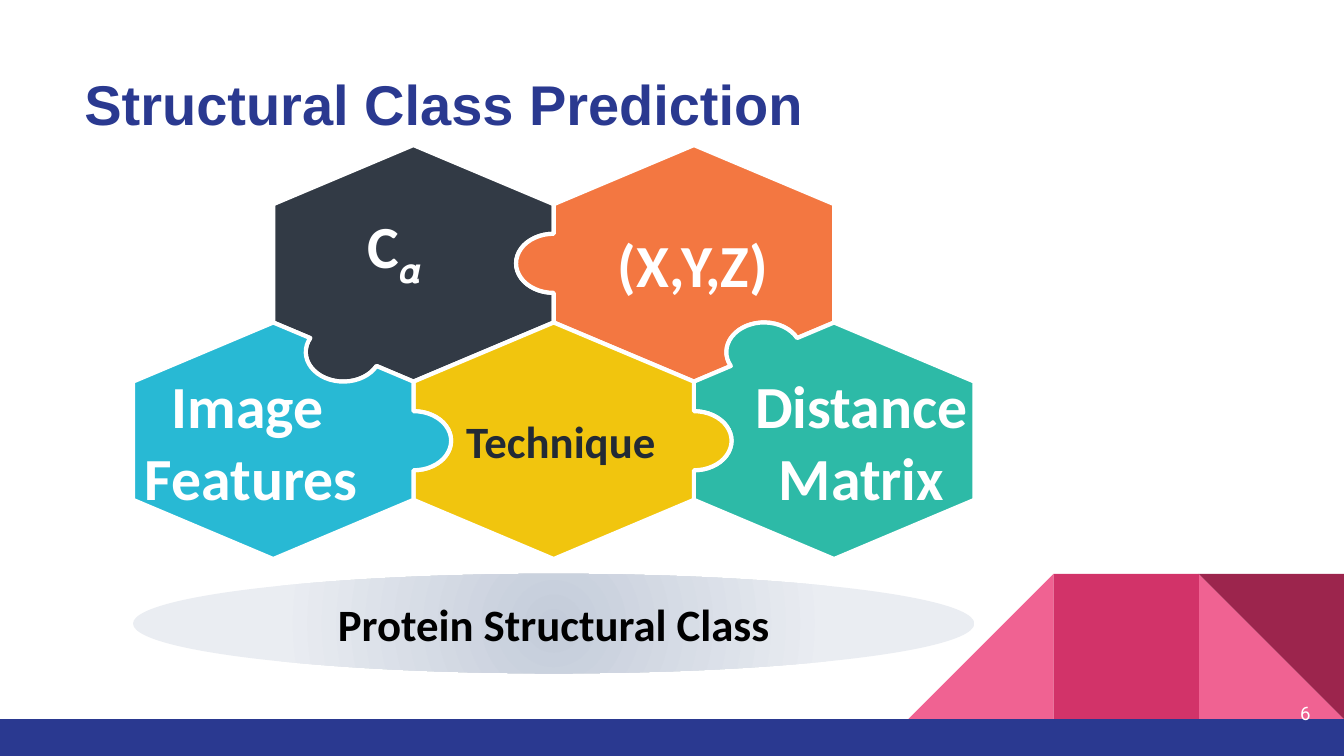
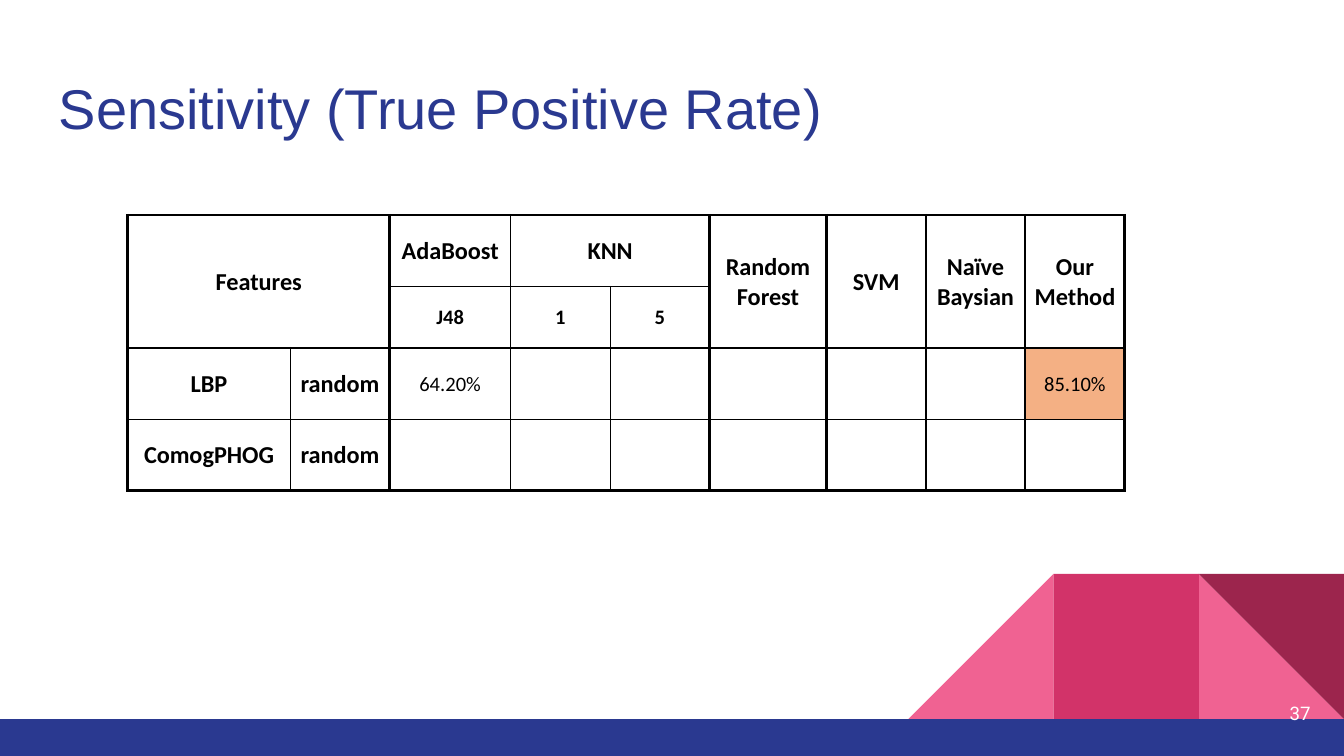
from copy import deepcopy
from dataclasses import dataclass
from math import atan2, cos, pi, sin

from lxml.etree import SubElement
from pptx import Presentation
from pptx.dml.color import RGBColor
from pptx.enum.shapes import MSO_SHAPE
from pptx.enum.text import MSO_ANCHOR, PP_ALIGN
from pptx.oxml import parse_xml
from pptx.oxml.ns import nsdecls, qn
from pptx.shapes.autoshape import Shape
from pptx.slide import Slide
from pptx.table import Table
from pptx.text.text import TextFrame
from pptx.util import Inches, Pt

WHITE = RGBColor(0xFF, 0xFF, 0xFF)
BLACK = RGBColor(0x00, 0x00, 0x00)
INDIGO = RGBColor(0x2A, 0x39, 0x90)
PINK = RGBColor(0xF0, 0x62, 0x92)
RASPBERRY = RGBColor(0xD2, 0x33, 0x69)
WINE = RGBColor(0x9C, 0x25, 0x4D)
SLATE = RGBColor(0x32, 0x3A, 0x45)
ORANGE = RGBColor(0xF3, 0x77, 0x41)
TEAL = RGBColor(0x2D, 0xBA, 0xA7)
YELLOW = RGBColor(0xF1, 0xC5, 0x0E)
SKY = RGBColor(0x28, 0xB9, 0xD4)
INK = RGBColor(0x22, 0x2A, 0x35)
PEACH = RGBColor(0xF4, 0xB0, 0x84)
SHADOW_CENTRE = RGBColor(0xC4, 0xCC, 0xDA)
SHADOW_EDGE = RGBColor(0xEA, 0xED, 0xF2)

Box = tuple[float, float, float, float]

# Puzzle grid: hexagon corners lie on equal columns and on steps of QUARTER.
PUZZLE_LEFT, PUZZLE_TOP, PUZZLE_WIDTH = 0.99, 1.08, 6.26
HALF_WIDTH = PUZZLE_WIDTH / 6
QUARTER = 0.44
ROW_STEP = 3 * QUARTER
KNOB_X, KNOB_Y, KNOB_STEPS = 0.28, 0.22, 24
OUTWARD, INWARD = 1, -1


@dataclass(frozen=True)
class PuzzlePiece:
    column: int
    row: int
    colour: RGBColor
    knobs: dict[int, int]  # side, clockwise from upper right -> direction


@dataclass(frozen=True)
class PieceLabel:
    text: str
    box: Box
    size: int = 32
    colour: RGBColor = WHITE
    align: PP_ALIGN = PP_ALIGN.CENTER
    indent: float = 0
    subscript: str = ""
    bottom: float = 0.05


@dataclass(frozen=True)
class TableEntry:
    row: int
    column: int
    text: str
    size: int = 13
    bold: bool = True
    rows: int = 1
    columns: int = 1
    fill: RGBColor | None = None


PIECES = [
    PuzzlePiece(2, 0, SLATE, {1: INWARD, 3: OUTWARD}),
    PuzzlePiece(4, 0, ORANGE, {2: INWARD, 4: OUTWARD}),
    PuzzlePiece(5, 1, TEAL, {4: INWARD, 5: OUTWARD}),
    PuzzlePiece(3, 1, YELLOW, {1: OUTWARD, 4: INWARD}),
    PuzzlePiece(1, 1, SKY, {0: INWARD, 1: OUTWARD}),
]

LABELS = [
    PieceLabel("C", (2.02, 1.59, 1.82, 0.74), subscript="𝜶", bottom=0.25),
    PieceLabel("(X,Y,Z)", (4.11, 1.59, 2.09, 0.74)),
    PieceLabel("Distance Matrix", (5.45, 2.91, 1.92, 0.74)),
    PieceLabel("Technique", (3.37, 2.91, 1.8, 0.74), 24, INK, PP_ALIGN.LEFT),
    PieceLabel("Image Features", (0.98, 2.91, 2.09, 0.74),
               align=PP_ALIGN.LEFT, indent=0.2),
]

COLUMN_WIDTHS = [1.21, 0.74, 0.9, 0.74, 0.74, 0.87, 0.74, 0.74, 0.74]
ROW_HEIGHTS = [0.53, 0.46, 0.53, 0.53]
THIN_COLUMN_LINES = {1, 3, 4}
THIN_ROW_LINES = {1, 3}
ENTRIES = [
    TableEntry(0, 0, "Features", rows=2, columns=2),
    TableEntry(0, 2, "AdaBoost"),
    TableEntry(0, 3, "KNN", columns=2),
    TableEntry(0, 5, "Random\nForest", rows=2),
    TableEntry(0, 6, "SVM", rows=2),
    TableEntry(0, 7, "Naïve\nBaysian", rows=2),
    TableEntry(0, 8, "Our\nMethod", rows=2),
    TableEntry(1, 2, "J48", 11),
    TableEntry(1, 3, "1", 11),
    TableEntry(1, 4, "5", 11),
    TableEntry(2, 0, "LBP"),
    TableEntry(2, 1, "random"),
    TableEntry(2, 2, "64.20%", 11, False),
    TableEntry(2, 8, "85.10%", 11, False, fill=PEACH),
    TableEntry(3, 0, "ComogPHOG"),
    TableEntry(3, 1, "random"),
]


def write_text(frame: TextFrame, text: str, *, size: int, colour: RGBColor,
               font: str = "Calibri", bold: bool = False,
               align: PP_ALIGN = PP_ALIGN.LEFT, indent: float = 0,
               subscript: str = "") -> None:
    """Write one paragraph; a newline in the text becomes a line break."""
    frame.word_wrap = True
    paragraph = frame.paragraphs[0]
    paragraph.alignment = align
    if indent:
        paragraph._p.get_or_add_pPr().set("indent", str(Inches(indent)))
    parts = text.split("\n") + ([subscript] if subscript else [])
    for index, part in enumerate(parts):
        if index and not subscript:
            paragraph.add_line_break()
            paragraph._p[-1].append(deepcopy(run.font._element))
        run = paragraph.add_run()
        run.text = part
        run.font.size = Pt(size)
        run.font.name = font
        run.font.bold = bold
        run.font.color.rgb = colour
    if subscript:
        run.font._element.set("baseline", "-25000")


def add_text_box(slide: Slide, box: Box, *, margins: Box,
                 anchor: MSO_ANCHOR = MSO_ANCHOR.MIDDLE) -> TextFrame:
    """Margins run left, top, right, bottom."""
    frame = slide.shapes.add_textbox(*map(Inches, box)).text_frame
    (frame.margin_left, frame.margin_top,
     frame.margin_right, frame.margin_bottom) = map(Inches, margins)
    frame.vertical_anchor = anchor
    return frame


def add_filled_shape(slide: Slide, kind: MSO_SHAPE, box: Box,
                     colour: RGBColor) -> Shape:
    shape = slide.shapes.add_shape(kind, *map(Inches, box))
    shape.shadow.inherit = False
    shape.fill.solid()
    shape.fill.fore_color.rgb = colour
    shape.line.fill.background()
    return shape


def add_base(presentation: Presentation, title: str, number: str, *,
             left: float, top: float, bold: bool = False) -> Slide:
    """Add a slide with the corner ornament, footer band, title and number."""
    slide = presentation.slides.add_slide(presentation.slide_layouts[6])
    side, ornament_top = 1.08, 4.27
    middle, right = 10 - 2 * side, 10 - side
    triangle, rectangle = MSO_SHAPE.RIGHT_TRIANGLE, MSO_SHAPE.RECTANGLE
    add_filled_shape(slide, triangle, (right, ornament_top, side, side), PINK)
    mirrored = add_filled_shape(
        slide, triangle, (middle - side, ornament_top, side, side), PINK)
    mirrored._element.spPr.xfrm.set("flipH", "1")
    add_filled_shape(slide, rectangle, (middle, ornament_top, side, side), RASPBERRY)
    corner = add_filled_shape(slide, triangle, (right, ornament_top, side, side), WINE)
    corner.rotation = 180
    add_filled_shape(slide, rectangle, (0, 5.35, 10, 0.28), INDIGO)

    margins = (0.1,) * 4
    write_text(add_text_box(slide, (left, top, 9.32, 0.66), margins=margins,
                            anchor=MSO_ANCHOR.TOP),
               title, size=30, colour=INDIGO, font="Arial", bold=bold)
    write_text(add_text_box(slide, (9.25, 5.09, 0.6, 0.43), margins=margins),
               number, size=10, colour=WHITE, font="Roboto", align=PP_ALIGN.RIGHT)
    return slide


def piece_outline(piece: PuzzlePiece) -> list[tuple[float, float]]:
    """Hexagon clockwise from the top, with a half ellipse at each knob."""
    x = PUZZLE_LEFT + piece.column * HALF_WIDTH
    y = PUZZLE_TOP + piece.row * ROW_STEP
    corners = [(x + across * HALF_WIDTH, y + down * QUARTER) for across, down in
               ((0, 0), (1, 1), (1, 3), (0, 4), (-1, 3), (-1, 1))]
    points = []
    for side, (x1, y1) in enumerate(corners):
        points.append((x1, y1))
        if side not in piece.knobs:
            continue
        x2, y2 = corners[(side + 1) % 6]
        start = atan2((y2 - y1) / KNOB_Y, (x2 - x1) / KNOB_X) + pi
        for step in range(KNOB_STEPS + 1):
            angle = start + piece.knobs[side] * pi * step / KNOB_STEPS
            points.append(((x1 + x2) / 2 + KNOB_X * cos(angle),
                           (y1 + y2) / 2 + KNOB_Y * sin(angle)))
    return points


def add_piece(slide: Slide, piece: PuzzlePiece) -> None:
    points = [(Inches(x), Inches(y)) for x, y in piece_outline(piece)]
    builder = slide.shapes.build_freeform(*points[0])
    builder.add_line_segments(points[1:], close=True)
    shape = builder.convert_to_shape()
    shape.shadow.inherit = False
    shape.fill.solid()
    shape.fill.fore_color.rgb = piece.colour
    shape.line.color.rgb = WHITE
    shape.line.width = Pt(2.25)


def set_radial_fill(shape: Shape, centre: RGBColor, edge: RGBColor) -> None:
    stops = "".join(f'<a:gs pos="{position}"><a:srgbClr val="{colour}"/></a:gs>'
                    for position, colour in ((0, centre), (65000, edge), (100000, edge)))
    gradient = parse_xml(
        f'<a:gradFill {nsdecls("a")}><a:gsLst>{stops}</a:gsLst><a:path path="circle">'
        '<a:fillToRect l="50000" t="50000" r="50000" b="50000"/></a:path></a:gradFill>')
    properties = shape._element.spPr
    properties.replace(properties.find(qn("a:solidFill")), gradient)


def build_prediction_slide(presentation: Presentation) -> None:
    slide = add_base(presentation, "Structural Class Prediction", "6",
                     left=0.53, top=0.42, bold=True)
    ellipse = add_filled_shape(slide, MSO_SHAPE.OVAL,
                               (PUZZLE_LEFT, 4.27, PUZZLE_WIDTH, 0.74), SHADOW_EDGE)
    set_radial_fill(ellipse, SHADOW_CENTRE, SHADOW_EDGE)
    ellipse.text_frame.vertical_anchor = MSO_ANCHOR.MIDDLE
    write_text(ellipse.text_frame, "Protein Structural Class", size=24,
               colour=BLACK, bold=True, align=PP_ALIGN.CENTER)
    for piece in PIECES:
        add_piece(slide, piece)
    for label in LABELS:
        frame = add_text_box(slide, label.box, margins=(0.1, 0.05, 0.1, label.bottom))
        write_text(frame, label.text, size=label.size, colour=label.colour, bold=True,
                   align=label.align, indent=label.indent, subscript=label.subscript)


def set_borders(table: Table, row: int, column: int) -> None:
    """Rule a cell, or the whole span that starts there."""
    cell = table.cell(row, column)
    width, height = (cell.span_width, cell.span_height) if cell.is_merge_origin else (1, 1)
    properties = cell._tc.get_or_add_tcPr()
    for tag, line, thin_lines in (("a:lnL", column, THIN_COLUMN_LINES),
                                  ("a:lnR", column + width, THIN_COLUMN_LINES),
                                  ("a:lnT", row, THIN_ROW_LINES),
                                  ("a:lnB", row + height, THIN_ROW_LINES)):
        weight = Pt(0.5 if line in thin_lines else 1.5)
        border = SubElement(properties, qn(tag), w=str(weight))
        fill = SubElement(border, qn("a:solidFill"))
        SubElement(fill, qn("a:srgbClr"), val=str(BLACK))


def build_sensitivity_slide(presentation: Presentation) -> None:
    slide = add_base(presentation, "Sensitivity (True Positive Rate)", "37",
                     left=0.34, top=0.45)
    frame = slide.shapes.add_table(
        len(ROW_HEIGHTS), len(COLUMN_WIDTHS), Inches(0.95), Inches(1.6),
        Inches(sum(COLUMN_WIDTHS)), Inches(sum(ROW_HEIGHTS)))
    table = frame.table
    table.first_row = table.horz_banding = False
    for column, width in zip(table.columns, COLUMN_WIDTHS):
        column.width = Inches(width)
    for row, height in zip(table.rows, ROW_HEIGHTS):
        row.height = Inches(height)
    for entry in ENTRIES:
        cell = table.cell(entry.row, entry.column)
        if entry.rows * entry.columns > 1:
            cell.merge(table.cell(entry.row + entry.rows - 1,
                                  entry.column + entry.columns - 1))
        write_text(cell.text_frame, entry.text, size=entry.size, colour=BLACK,
                   bold=entry.bold, align=PP_ALIGN.CENTER)
    fills = {(entry.row, entry.column): entry.fill for entry in ENTRIES if entry.fill}
    for row in range(len(ROW_HEIGHTS)):
        for column in range(len(COLUMN_WIDTHS)):
            cell = table.cell(row, column)
            cell.vertical_anchor = MSO_ANCHOR.MIDDLE
            cell.margin_left = cell.margin_right = cell.margin_top = Inches(0.01)
            cell.margin_bottom = 0
            if not cell.is_spanned:
                set_borders(table, row, column)
            if (row, column) in fills:
                cell.fill.solid()
                cell.fill.fore_color.rgb = fills[row, column]
            else:
                cell.fill.background()


def main() -> None:
    presentation = Presentation()
    presentation.slide_width = Inches(10)
    presentation.slide_height = Inches(10 * 9 / 16)
    build_prediction_slide(presentation)
    build_sensitivity_slide(presentation)
    presentation.save("out.pptx")


if __name__ == "__main__":
    main()
